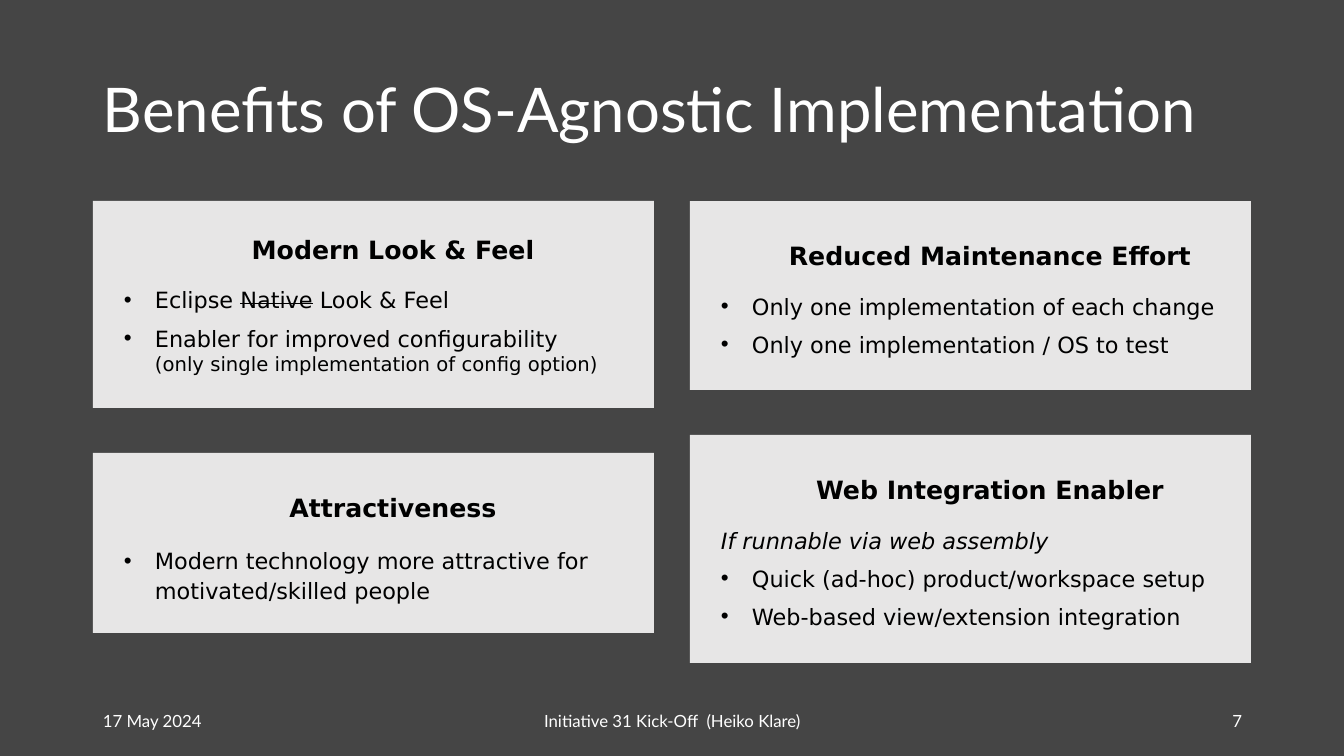
import pptx
import pptx.util
import pptx.dml.color
import pptx.enum.shapes
import pptx.enum.text
import pptx.oxml.ns
import lxml.etree

RGBColor = pptx.dml.color.RGBColor
ALIGN = pptx.enum.text.PP_ALIGN
ANCHOR = pptx.enum.text.MSO_ANCHOR

BACKGROUND = RGBColor(0x45, 0x45, 0x45)
CARD_FILL = RGBColor(0xE7, 0xE6, 0xE6)
WHITE = RGBColor(0xFF, 0xFF, 0xFF)
BLACK = RGBColor(0, 0, 0)

EMU_PER_PX = 914400 / 100.8
LEFT, WIDTH = 93, 1159
CARD_WIDTH = 561
RIGHT_COLUMN = 690
HEADING_INDENT = 39
BULLET_INDENT = 31

# Each body line is (kind, runs); a run is (text, size, style)
CARDS = [
    ((LEFT, 201, CARD_WIDTH, 207), "Modern Look & Feel", 1.0, 1.0, [
        ("bullet", [("Eclipse ", 16, ""), ("Native", 16, "strike"), (" Look & Feel", 16, "")]),
        ("bullet", [("Enabler for improved configurability", 16, ""), ("\n", 16, ""),
                    ("(only single implementation of config option)", 14, "")]),
    ]),
    ((RIGHT_COLUMN, 201, CARD_WIDTH, 189), "Reduced Maintenance Effort", 1.2, 1.0, [
        ("bullet", [("Only one implementation of each change", 16, "")]),
        ("bullet", [("Only one implementation / OS to test", 16, "")]),
    ]),
    ((LEFT, 453, CARD_WIDTH, 180), "Attractiveness", 1.2, 1.1, [
        ("bullet", [("Modern technology more attractive for motivated/skilled people", 16, "")]),
    ]),
    ((RIGHT_COLUMN, 435, CARD_WIDTH, 228), "Web Integration Enabler", 1.2, 1.0, [
        ("plain", [("If runnable via web assembly", 16, "italic")]),
        ("bullet", [("Quick (ad-hoc) product/workspace setup", 16, "")]),
        ("bullet", [("Web-based view/extension integration", 16, "")]),
    ]),
]


def px(length):
    return pptx.util.Emu(round(length * EMU_PER_PX))


def add_run(paragraph, text, size, font_name, color, style=""):
    run = paragraph.add_run()
    run.text = text
    run.font.size = pptx.util.Pt(size)
    run.font.name = font_name
    run.font.color.rgb = color
    run.font.bold = style == "bold"
    run.font.italic = style == "italic"
    if style == "strike":
        run._r.get_or_add_rPr().set("strike", "sngStrike")


def set_indent(paragraph, left, first=0):
    properties = paragraph._p.get_or_add_pPr()
    properties.set("marL", str(px(left)))
    properties.set("indent", str(px(first)))
    return properties


def add_bullet(paragraph):
    properties = set_indent(paragraph, BULLET_INDENT, -BULLET_INDENT)
    font = lxml.etree.SubElement(properties, pptx.oxml.ns.qn("a:buFont"))
    font.set("typeface", "Arial")
    bullet = lxml.etree.SubElement(properties, pptx.oxml.ns.qn("a:buChar"))
    bullet.set("char", "•")


def add_label(slide, box, text, size, alignment=ALIGN.LEFT, line_spacing=1.0):
    frame = slide.shapes.add_textbox(*map(px, box)).text_frame
    frame.word_wrap = True
    frame.vertical_anchor = ANCHOR.MIDDLE
    paragraph = frame.paragraphs[0]
    paragraph.alignment = alignment
    paragraph.line_spacing = line_spacing
    add_run(paragraph, text, size, "Lato", WHITE)


def add_card(slide, box, heading, heading_spacing, body_spacing, lines):
    shape = slide.shapes.add_shape(pptx.enum.shapes.MSO_SHAPE.RECTANGLE, *map(px, box))
    shape.shadow.inherit = False
    shape.fill.solid()
    shape.fill.fore_color.rgb = CARD_FILL
    shape.line.fill.background()

    frame = shape.text_frame
    frame.word_wrap = True
    frame.vertical_anchor = ANCHOR.TOP
    frame.margin_left = frame.margin_right = frame.margin_bottom = px(31)
    frame.margin_top = px(33)

    # Heading
    paragraph = frame.paragraphs[0]
    paragraph.alignment = ALIGN.CENTER
    paragraph.line_spacing = heading_spacing
    paragraph.space_after = pptx.util.Pt(8)
    set_indent(paragraph, HEADING_INDENT)
    add_run(paragraph, heading, 18, "DejaVu Sans", BLACK, "bold")

    # Body
    for kind, runs in lines:
        paragraph = frame.add_paragraph()
        paragraph.alignment = ALIGN.LEFT
        paragraph.line_spacing = body_spacing
        paragraph.space_before = pptx.util.Pt(8)
        if kind == "bullet":
            add_bullet(paragraph)
        for text, size, style in runs:
            if text == "\n":
                paragraph.add_line_break()
            else:
                add_run(paragraph, text, size, "DejaVu Sans", BLACK, style)


def add_footer(slide, left, top, width, height):
    side, middle = 302, 454
    add_label(slide, (left, top, side, height), "17 May 2024", 12)
    add_label(slide, (left + (width - middle) / 2, top, middle, height),
              "Initiative 31 Kick-Off  (Heiko Klare)", 12, ALIGN.CENTER)
    add_label(slide, (left + width - side, top, side, height), "7", 12, ALIGN.RIGHT)


def main():
    presentation = pptx.Presentation()
    presentation.slide_width = px(1344)
    presentation.slide_height = px(756)
    slide = presentation.slides.add_slide(presentation.slide_layouts[6])
    slide.background.fill.solid()
    slide.background.fill.fore_color.rgb = BACKGROUND

    add_label(slide, (LEFT, 40, WIDTH, 146), "Benefits of OS-Agnostic Implementation",
              44, line_spacing=0.9)
    for card in CARDS:
        add_card(slide, *card)
    add_footer(slide, LEFT, 701, WIDTH, 40)
    presentation.save("out.pptx")


if __name__ == "__main__":
    main()
